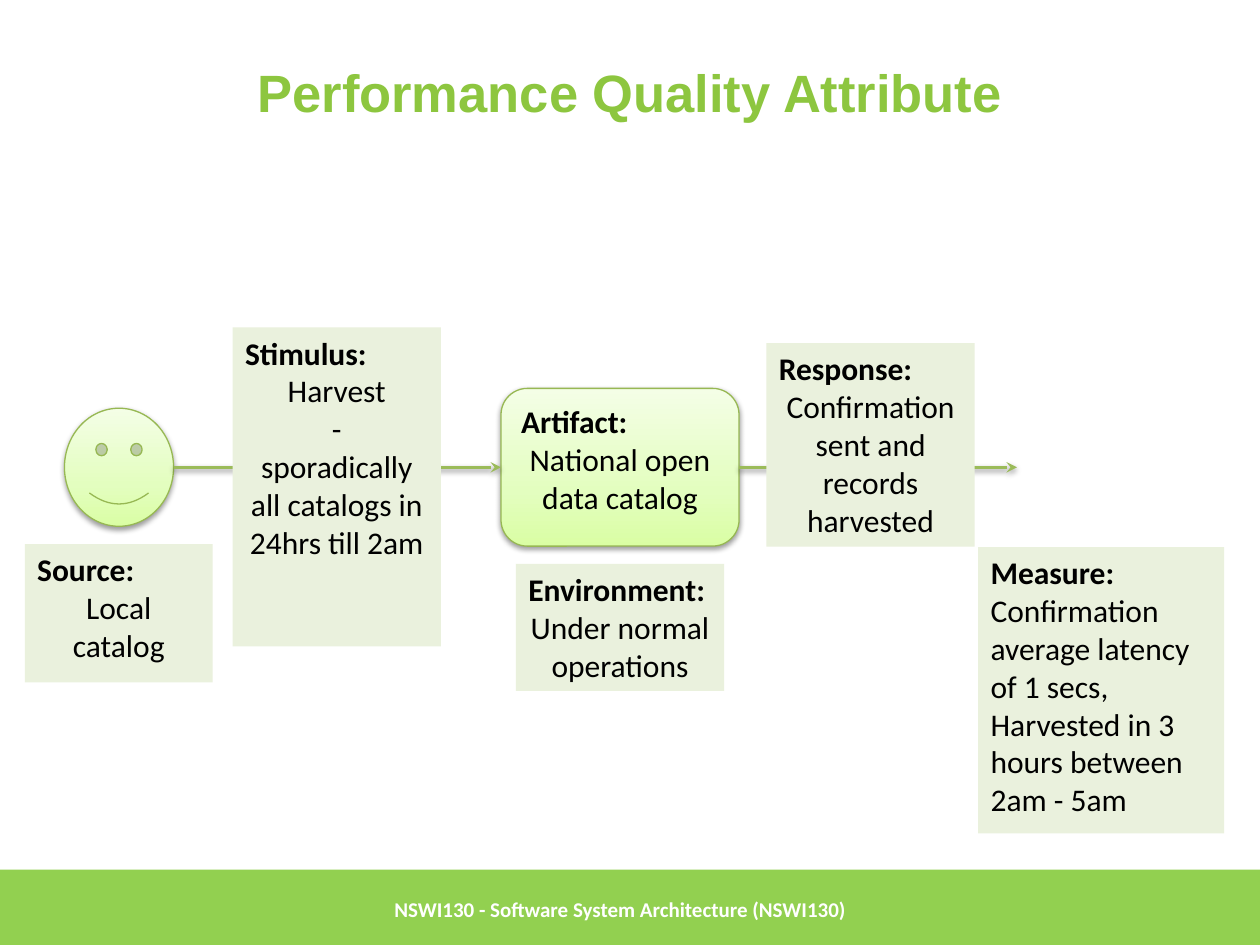
import copy

import pptx
import pptx.dml.color
import pptx.enum.shapes
import pptx.enum.text
import pptx.oxml
import pptx.oxml.ns
import pptx.util

Cm, Pt = pptx.util.Cm, pptx.util.Pt
RGBColor = pptx.dml.color.RGBColor
SHAPE = pptx.enum.shapes.MSO_SHAPE
ALIGN = pptx.enum.text.PP_ALIGN
ANCHOR = pptx.enum.text.MSO_ANCHOR
qn = pptx.oxml.ns.qn

TITLE_GREEN = RGBColor(0x8D, 0xC6, 0x3F)
FOOTER_GREEN = RGBColor(0x92, 0xD0, 0x50)
NOTE_GREEN = RGBColor(0xEA, 0xF1, 0xDD)
EDGE_GREEN = RGBColor(0x97, 0xB8, 0x53)
ARROW_GREEN = RGBColor(0x9B, 0xBB, 0x59)
GLOSS = [(0, RGBColor(0xDA, 0xFE, 0xA4)), (0.35, RGBColor(0xE3, 0xFE, 0xBF)),
         (1, RGBColor(0xF4, 0xFE, 0xE6))]
BLACK = RGBColor(0, 0, 0)
WHITE = RGBColor(0xFF, 0xFF, 0xFF)

AXIS = 9.42  # height of the line the scenario runs along, in cm


def add_run(paragraph, text, size, color, bold=False, font="Calibri"):
    run = paragraph.add_run()
    run.text = text
    run.font.name, run.font.size, run.font.bold = font, Pt(size), bold
    run.font.color.rgb = color


def add_shadow(part):
    spPr = part._element.spPr
    effects = spPr.find(qn("a:effectLst"))
    if effects is not None:
        spPr.remove(effects)
    spPr.append(pptx.oxml.parse_xml(
        f'<a:effectLst {pptx.oxml.ns.nsdecls("a")}>'
        '<a:outerShdw blurRad="40000" dist="20000" dir="5400000" rotWithShape="0">'
        '<a:srgbClr val="000000"><a:alpha val="38000"/></a:srgbClr>'
        '</a:outerShdw></a:effectLst>'))


def add_flat(slide, box, color):
    flat = slide.shapes.add_shape(SHAPE.RECTANGLE, *map(Cm, box))
    flat.shadow.inherit = False
    flat.fill.solid()
    flat.fill.fore_color.rgb = color
    flat.line.fill.background()
    return flat


def add_glossy(slide, kind, box, adjustment):
    glossy = slide.shapes.add_shape(kind, *map(Cm, box))
    glossy.adjustments[0] = adjustment
    glossy.fill.gradient()
    glossy.fill.gradient_angle = 90
    stop_list = glossy._element.spPr.find(".//" + qn("a:gsLst"))
    stop_list.append(copy.deepcopy(stop_list[-1]))
    for stop, (position, color) in zip(glossy.fill.gradient_stops, GLOSS):
        stop.position = position
        stop.color.rgb = color
    glossy.line.color.rgb = EDGE_GREEN
    glossy.line.width = Pt(0.75)
    add_shadow(glossy)
    return glossy


def write_part(shape, heading, lines, align=ALIGN.CENTER):
    """Bold heading on the left, with the description lines below it."""
    frame = shape.text_frame
    frame.word_wrap = True
    frame.vertical_anchor = ANCHOR.TOP
    frame.paragraphs[0].alignment = ALIGN.LEFT
    add_run(frame.paragraphs[0], heading, 18, BLACK, bold=True)
    for line in lines:
        paragraph = frame.add_paragraph()
        paragraph.alignment = align
        add_run(paragraph, line, 18, BLACK)


def add_arrow(slide, start, end):
    arrow = slide.shapes.add_connector(
        pptx.enum.shapes.MSO_CONNECTOR.STRAIGHT, Cm(start), Cm(AXIS), Cm(end), Cm(AXIS))
    arrow.line.color.rgb = ARROW_GREEN
    arrow.line.width = Pt(2)
    arrow.line._get_or_add_ln().append(pptx.oxml.parse_xml(
        f'<a:tailEnd {pptx.oxml.ns.nsdecls("a")} type="stealth"/>'))
    add_shadow(arrow)
    return arrow


def add_caption(slide, box, text, size, color, font, align):
    caption = slide.shapes.add_textbox(*map(Cm, box))
    frame = caption.text_frame
    frame.word_wrap = True
    frame.vertical_anchor = ANCHOR.MIDDLE
    frame.paragraphs[0].alignment = align
    add_run(frame.paragraphs[0], text, size, color, bold=True, font=font)


def add_footer(slide, box):
    left, top, width, height = box
    add_flat(slide, box, FOOTER_GREEN)
    add_caption(slide, (left + 7.7, top, 15.3, height),
                "NSWI130 - Software System Architecture (NSWI130)",
                12, WHITE, "Calibri", ALIGN.LEFT)


def add_scenario(slide, box):
    left, top = box[:2]

    def place(x, y, width, height):
        return left + x, top + y, width, height

    # Source and artifact
    face_width, face_height = 2.2, 2.38
    face = place(0.8, AXIS - top - face_height / 2, face_width, face_height)
    add_glossy(slide, SHAPE.SMILEY_FACE, face, 0.047)
    write_part(add_flat(slide, place(0, 4.37, 3.79, 2.79), NOTE_GREEN),
               "Source:", ["Local catalog"])
    artifact_box = place(9.6, AXIS - top - 1.59, 4.8, 3.18)
    artifact = add_glossy(slide, SHAPE.ROUNDED_RECTANGLE, artifact_box, 0.167)
    write_part(artifact, "Artifact:", ["National open data catalog"])

    # Arrows into and out of the artifact
    artifact_right = artifact_box[0] + artifact_box[2]
    add_arrow(slide, face[0] + face_width, artifact_box[0]).end_connect(artifact, 1)
    add_arrow(slide, artifact_right, left + 20).begin_connect(artifact, 3)

    # Notes along the arrows and below
    notes = [
        ((4.19, 0, 4.2, 6.43), "Stimulus:",
         ["Harvest", "-", "sporadically all catalogs in 24hrs till 2am"], ALIGN.CENTER),
        ((9.9, 4.77, 4.2, 2.56), "Environment:",
         ["Under normal operations"], ALIGN.CENTER),
        ((14.95, 0.32, 4.2, 4.1), "Response:",
         ["Confirmation sent and records harvested"], ALIGN.CENTER),
        ((19.22, 4.43, 4.96, 5.77), "Measure:",
         ["Confirmation average latency of 1 secs,",
          "Harvested in 3 hours between 2am - 5am"], ALIGN.LEFT),
    ]
    for note_box, heading, lines, align in notes:
        write_part(add_flat(slide, place(*note_box), NOTE_GREEN), heading, lines, align)


def main():
    deck = pptx.Presentation()
    deck.slide_width, deck.slide_height = Cm(25.4), Cm(19.05)
    slide = deck.slides.add_slide(deck.slide_layouts[6])
    add_footer(slide, (0, 17.53, 25.4, 1.6))
    add_caption(slide, (1.27, 0.76, 22.86, 2.16), "Performance Quality Attribute",
                30, TITLE_GREEN, "Arial", ALIGN.CENTER)
    add_scenario(slide, (0.5, 6.6, 24.18, 10.2))
    deck.save("out.pptx")


if __name__ == "__main__":
    main()
